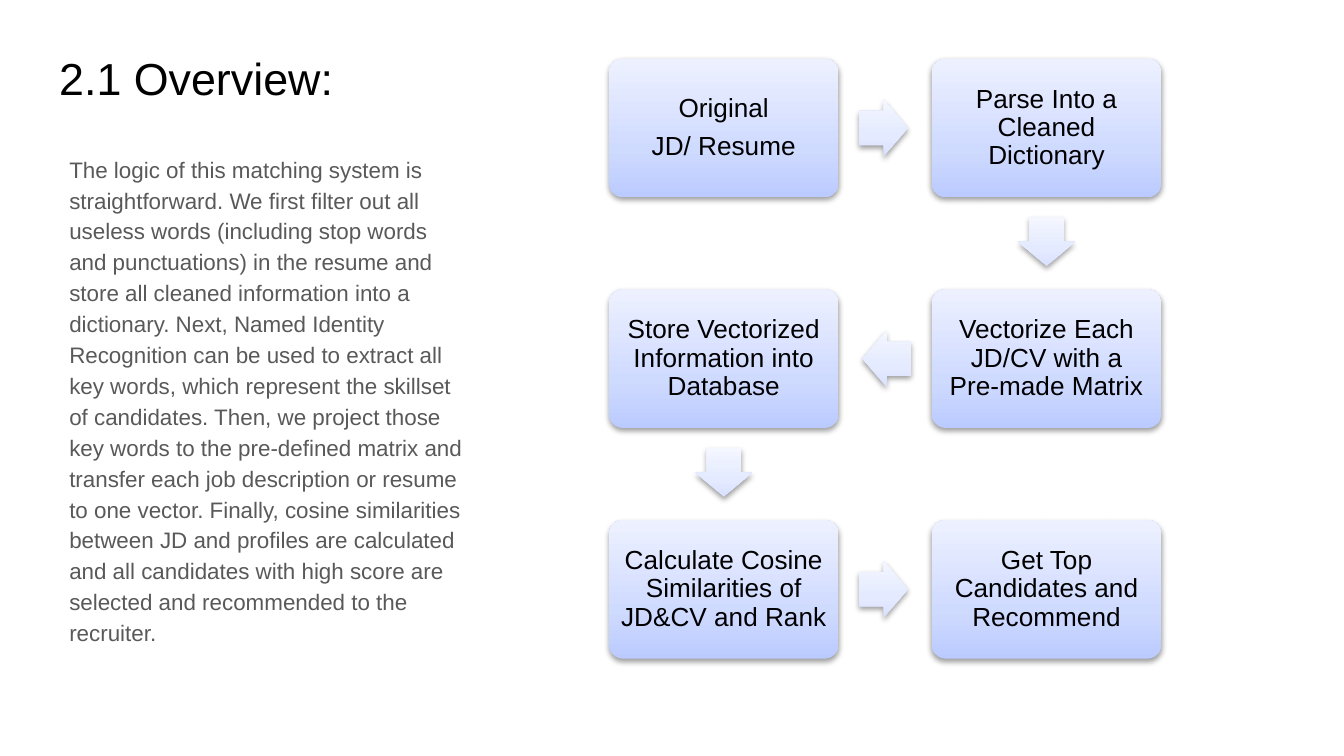
from itertools import pairwise
from math import atan2, cos, degrees, sin

from lxml.etree import SubElement
from pptx import Presentation
from pptx.dml.color import RGBColor
from pptx.enum.shapes import MSO_SHAPE
from pptx.enum.text import MSO_ANCHOR, PP_ALIGN
from pptx.oxml.ns import qn
from pptx.util import Cm, Pt

HUES = {"ink": "000000", "grey": "595959",
        "box": ("BBCBFF", "CFDAFF", "EDF1FF"),
        "arrow": ("D9E1FF", "E4EAFF", "F4F7FF")}
STOPS = (0, 35, 100)

TITLE = "2.1 Overview:"
BODY = (
    "The logic of this matching system is straightforward. We first filter "
    "out all useless words (including stop words and punctuations) in the "
    "resume and store all cleaned information into a dictionary. Next, Named "
    "Identity Recognition can be used to extract all key words, which "
    "represent the skillset of candidates. Then, we project those key words "
    "to the pre-defined matrix and transfer each job description or resume "
    "to one vector. Finally, cosine similarities between JD and profiles are "
    "calculated and all candidates with high score are selected and "
    "recommended to the recruiter."
)
STEPS = (
    ("Original", "JD/ Resume"),
    ("Parse Into a Cleaned Dictionary",),
    ("Vectorize Each JD/CV with a Pre-made Matrix",),
    ("Store Vectorized Information into Database",),
    ("Calculate Cosine Similarities of JD&CV and Rank",),
    ("Get Top Candidates and Recommend",),
)


def put(item, values):
    for name, value in values.items():
        setattr(item, name, value)


def write(shape, lines, size, hue, pad, anchor, form):
    frame = shape.text_frame
    sides = ("left", "top", "right", "bottom")
    put(frame, {f"margin_{side}": Cm(pad) for side in sides})
    put(frame, {"word_wrap": True, "vertical_anchor": anchor})
    frame.text = "\n".join(lines)
    for para in frame.paragraphs:
        put(para, form)
        put(para.font, {"name": "Arial", "size": Pt(size)})
        para.font.color.rgb = RGBColor.from_string(HUES[hue])


def paint(shape, hue):
    """Fill from bottom to top, whatever the turn, and cast a soft shadow."""
    shape.line.fill.background()
    shape.fill.gradient()
    props = shape._element.spPr
    grad = props.find(qn("a:gradFill"))
    grad.set("rotWithShape", "0")
    shape.fill.gradient_angle = 90
    stops = grad.find(qn("a:gsLst"))
    for stop in list(stops):
        stops.remove(stop)
    for place, tone in zip(STOPS, HUES[hue]):
        stop = SubElement(stops, qn("a:gs"), pos=str(place * 1000))
        SubElement(stop, qn("a:srgbClr"), val=tone)

    shape.shadow.inherit = False
    shade = SubElement(
        props.find(qn("a:effectLst")), qn("a:outerShdw"),
        blurRad=str(Pt(3.1)), dist=str(Pt(1.6)), dir="5400000",
        rotWithShape="0")
    tone = SubElement(shade, qn("a:srgbClr"), val=HUES["ink"])
    SubElement(tone, qn("a:alpha"), val="38000")


def add_title(slide, box):
    text = slide.shapes.add_textbox(*map(Cm, box))
    write(text, [TITLE], 24, "ink", 0.25, MSO_ANCHOR.BOTTOM, {})


def add_body(slide, box):
    text = slide.shapes.add_textbox(*map(Cm, box))
    write(text, [BODY], 12, "grey", 0.25, MSO_ANCHOR.TOP,
          {"line_spacing": 1.15})
    props = text.text_frame.paragraphs[0]._p.get_or_add_pPr()
    props.set("marL", str(Cm(0.42)))
    props.set("indent", "0")


def add_step(slide, lines, box):
    card = slide.shapes.add_shape(MSO_SHAPE.ROUNDED_RECTANGLE, *map(Cm, box))
    card.adjustments[0] = 0.1
    paint(card, "box")
    write(card, lines, 14, "ink", 0.15, MSO_ANCHOR.MIDDLE,
          {"alignment": PP_ALIGN.CENTER, "line_spacing": 0.9,
           "space_after": Pt(4.9)})


def add_arrow(slide, start, end):
    """Place an arrow between two centres, a touch nearer the first."""
    wide, high, back = 0.92, 1.08, 0.03
    turn = atan2(end[1] - start[1], end[0] - start[0])
    mid_x = (start[0] + end[0]) / 2 - back * cos(turn)
    mid_y = (start[1] + end[1]) / 2 - back * sin(turn)
    box = (mid_x - wide / 2, mid_y - high / 2, wide, high)
    arrow = slide.shapes.add_shape(MSO_SHAPE.RIGHT_ARROW, *map(Cm, box))
    arrow.adjustments[0], arrow.adjustments[1] = 0.6, 0.5
    arrow.rotation = degrees(turn)
    paint(arrow, "arrow")


def add_flow(slide, box):
    """Lay the steps in a grid that winds right, then left, row by row."""
    left, top, width, height = box
    cols, rows = 2, 3
    wide, high = 4.34, 2.62
    step_x = (width - wide) / (cols - 1)
    step_y = (height - high) / (rows - 1)
    mids = []
    for i, lines in enumerate(STEPS):
        row, col = divmod(i, cols)
        if row % 2:
            col = cols - 1 - col
        x, y = left + col * step_x, top + row * step_y
        add_step(slide, lines, (x, y, wide, high))
        mids.append((x + wide / 2, y + high / 2))
    for start, end in pairwise(mids):
        add_arrow(slide, start, end)


def main():
    deck = Presentation()
    put(deck, {"slide_width": Cm(25.4), "slide_height": Cm(14.29)})
    slide = deck.slides.add_slide(deck.slide_layouts[6])
    add_title(slide, (0.87, 0.43, 7.8, 1.8))
    add_body(slide, (0.64, 2.62, 8.36, 10.97))
    add_flow(slide, (11.51, 1.11, 10.44, 11.34))
    deck.save("out.pptx")


if __name__ == "__main__":
    main()
